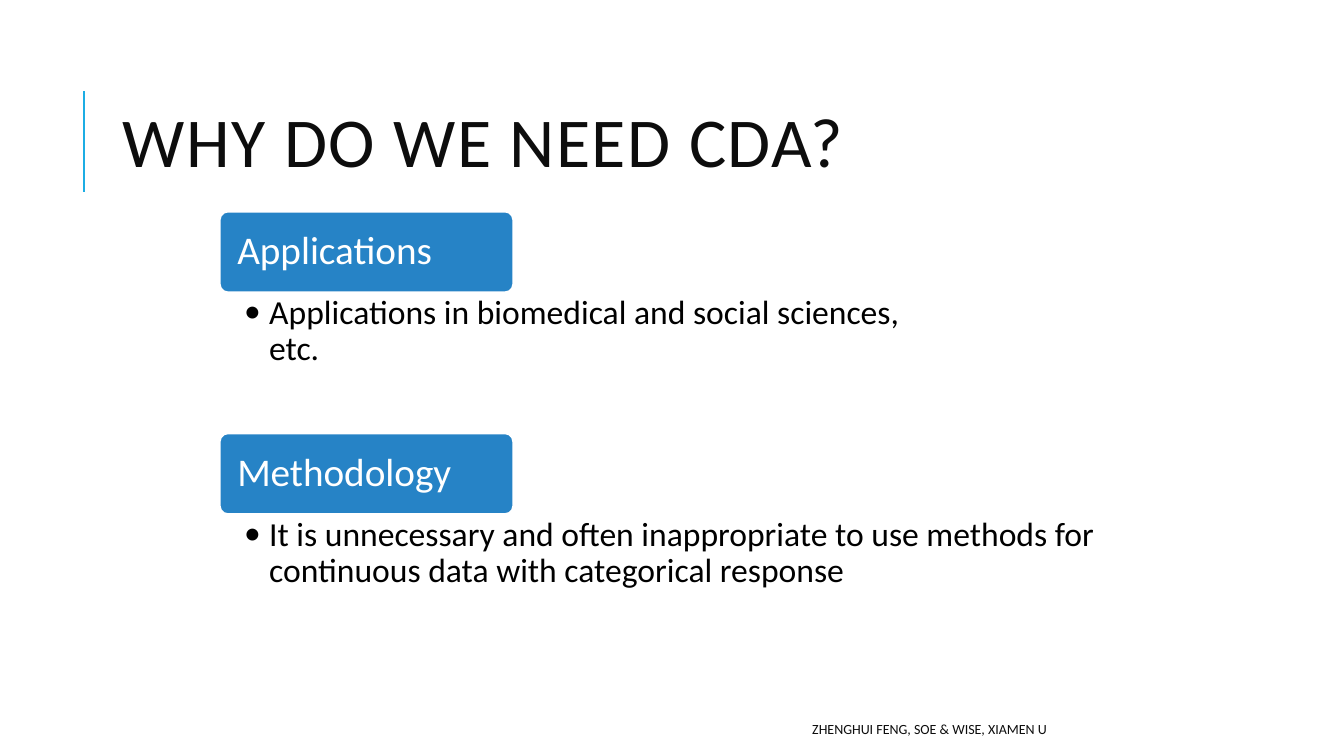
import pptx
import pptx.util
import pptx.dml.color
import pptx.enum.shapes
import pptx.enum.text
import pptx.oxml
import pptx.oxml.ns

PX = 9144  # 100 px to the inch
FONT = "Calibri"
INK, BLACK, WHITE = "0D0D0D", "000000", "FFFFFF"
BLUE, CYAN = "2683C6", "1CADE4"
ANCHOR = pptx.enum.text.MSO_ANCHOR
ALIGN = pptx.enum.text.PP_ALIGN

LEFT, HEAD_W, HEAD_H, BODY_H = 218, 291, 80, 118
TOPICS_TOP, TOPIC_STEP = 210, 220
TOPICS = [
    ("Applications", "Applications in biomedical and social sciences, etc.", 748),
    ("Methodology",
     "It is unnecessary and often inappropriate to use methods for "
     "continuous data with categorical response", 921),
]


def px(n):
    return pptx.util.Emu(n * PX)


def rgb(value):
    return pptx.dml.color.RGBColor.from_string(value)


def set_all(obj, values):
    for name, value in values.items():
        setattr(obj, name, value)


def write(sp, text, size, color, margins=(10, 5, 10, 5),
          anchor=ANCHOR.MIDDLE, align=ALIGN.LEFT, spacing=1.0, bullet=False):
    tf = sp.text_frame
    sides = ("margin_left", "margin_top", "margin_right", "margin_bottom")
    set_all(tf, {"word_wrap": True, "vertical_anchor": anchor,
                 **{side: px(m) for side, m in zip(sides, margins)}})
    p = tf.paragraphs[0]
    if bullet:
        add_bullet(p)
    set_all(p, {"alignment": align, "line_spacing": spacing})
    r = p.add_run()
    r.text = text
    set_all(r.font, {"name": FONT, "size": pptx.util.Pt(size)})
    r.font.color.rgb = rgb(color)
    return r


def add_bullet(p):
    pPr = p._p.get_or_add_pPr()
    pPr.set("marL", str(px(25)))
    pPr.set("indent", str(px(-25)))
    for tag, name, value in (("a:buFont", "typeface", FONT),
                             ("a:buChar", "char", "•")):
        pPr.append(pptx.oxml.parse_xml(
            f'<{tag} {pptx.oxml.ns.nsdecls("a")} {name}="{value}"/>'))


def add_text(s, box, *args, **formats):
    sp = s.shapes.add_textbox(*map(px, box))
    return write(sp, *args, **formats)


def add_heading(s, box, text):
    sp = s.shapes.add_shape(
        pptx.enum.shapes.MSO_SHAPE.ROUNDED_RECTANGLE, *map(px, box))
    sp.adjustments[0] = 0.1
    sp.shadow.inherit = False
    sp.fill.solid()
    sp.fill.fore_color.rgb = rgb(BLUE)
    sp.line.color.rgb = rgb(WHITE)
    sp.line.width = pptx.util.Pt(1.25)
    write(sp, text, 28, WHITE, margins=(15, 15, 15, 15), spacing=0.9)


def add_rule(s, x1, y1, x2, y2):
    cx = s.shapes.add_connector(
        pptx.enum.shapes.MSO_CONNECTOR.STRAIGHT, *map(px, (x1, y1, x2, y2)))
    cx.line.color.rgb = rgb(CYAN)
    cx.line.width = pptx.util.Pt(1.5)
    cx._element.spPr.append(pptx.oxml.parse_xml(
        f'<a:effectLst {pptx.oxml.ns.nsdecls("a")}/>'))


def main():
    prs = pptx.Presentation()
    set_all(prs, {"slide_width": px(1333), "slide_height": px(750)})
    s = prs.slides.add_slide(prs.slide_layouts[6])

    # Title with its rule
    add_rule(s, 83, 190, 83, 90)
    r = add_text(s, (112, 64, 1063, 164), "WHY DO WE NEED CDA?", 50, INK,
                 spacing=0.8)
    r._r.get_or_add_rPr().set("spc", "100")

    # Footer
    add_text(s, (564, 708, 484, 30), "ZHENGHUI FENG, SOE & WISE, XIAMEN U",
             10, INK, align=ALIGN.RIGHT)

    # Topics: a heading with its bullet below
    for i, (heading, body, width) in enumerate(TOPICS):
        top = TOPICS_TOP + i * TOPIC_STEP
        add_heading(s, (LEFT, top, HEAD_W, HEAD_H), heading)
        add_text(s, (LEFT, top + HEAD_H, width, BODY_H), body, 24, BLACK,
                 margins=(24, 3, 19, 3), anchor=ANCHOR.TOP, spacing=0.9,
                 bullet=True)

    prs.save("out.pptx")


if __name__ == "__main__":
    main()
